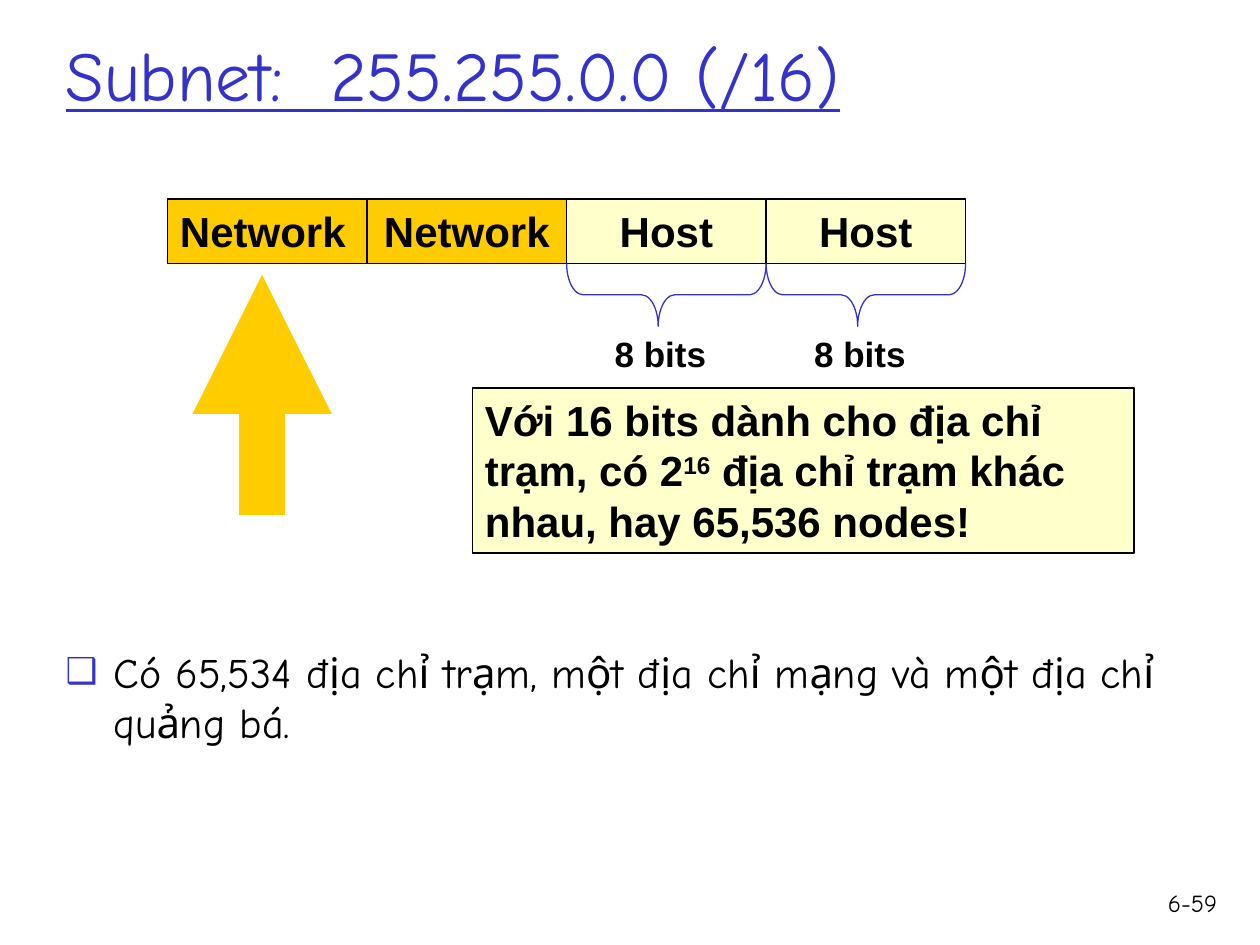
import pptx
import pptx.util
import pptx.dml.color
import pptx.enum.shapes
import pptx.enum.text
import pptx.oxml

Inches = pptx.util.Inches
Color = pptx.dml.color.RGBColor
Shape = pptx.enum.shapes.MSO_SHAPE
Align = pptx.enum.text.PP_ALIGN
Anchor = pptx.enum.text.MSO_ANCHOR

BLACK = Color(0x00, 0x00, 0x00)
BLUE = Color(0x33, 0x33, 0xCC)
GOLD = Color(0xFF, 0xCC, 0x00)
CREAM = Color(0xFF, 0xFF, 0xCC)
NAMESPACE = 'xmlns:a="http://schemas.openxmlformats.org/drawingml/2006/main"'

LABEL = {"name": "Arial", "size": pptx.util.Pt(24), "bold": True}
BITS = {**LABEL, "size": pptx.util.Pt(20)}
TITLE = {"name": "Comic Neue", "size": pptx.util.Pt(40), "underline": True}
BODY = {"name": "Comic Neue", "size": pptx.util.Pt(24)}
NUMBER = {**BODY, "size": pptx.util.Pt(14)}


def write(shape, texts, formats, align=Align.LEFT, anchor=Anchor.TOP, color=BLACK):
    frame = shape.text_frame
    frame.word_wrap = True
    frame.auto_size = pptx.enum.text.MSO_AUTO_SIZE.NONE
    frame.vertical_anchor = anchor
    para = frame.paragraphs[0]
    para.alignment = align
    para.space_before = pptx.util.Pt(0)
    for text in texts:
        span = para.add_run()
        span.text = text
        for name, value in formats.items():
            setattr(span.font, name, value)
        span.font.color.rgb = color
    return para


def add_outlined(kind, left, top, width, height, line, fill=None):
    shape = slide.shapes.add_shape(
        kind, Inches(left), Inches(top), Inches(width), Inches(height))
    shape.shadow.inherit = False
    if fill is None:
        shape.fill.background()
    else:
        shape.fill.solid()
        shape.fill.fore_color.rgb = fill
    shape.line.color.rgb = line
    shape.line.width = pptx.util.Pt(0.75)
    return shape


deck = pptx.Presentation()
deck.slide_width = Inches(10)
deck.slide_height = Inches(7.5)
slide = deck.slides.add_slide(deck.slide_layouts[1])

title, body = slide.placeholders
for holder, (left, top, width, height) in (
    (title, (0.42, 0.25, 8.17, 0.67)),
    (body, (0.42, 5.08, 9.25, 2.42)),
):
    holder.left, holder.top = Inches(left), Inches(top)
    holder.width, holder.height = Inches(width), Inches(height)

write(title, ["Subnet:  255.255.0.0 (/16)"], TITLE, anchor=Anchor.MIDDLE, color=BLUE)

bullet = write(
    body, ["Có 65,534 địa chỉ trạm, một địa chỉ mạng và một địa chỉ quảng bá."], BODY)
properties = bullet._p.get_or_add_pPr()
properties.set("marL", str(Inches(0.38)))
properties.set("indent", str(-Inches(0.38)))
for element in (
    f'<a:buClr {NAMESPACE}><a:srgbClr val="{BLUE}"/></a:buClr>',
    f'<a:buSzPct {NAMESPACE} val="85000"/>',
    f'<a:buChar {NAMESPACE} char="❑"/>',
):
    properties.append(pptx.oxml.parse_xml(element))

number = slide.shapes.add_textbox(Inches(9.08), Inches(7), Inches(0.68), Inches(0.5))
write(number, ["6-59"], NUMBER, Align.RIGHT)

octet_left, octet_top, octet_width, octet_height = 1.33, 1.58, 1.58333, 0.51
brace_depth = 0.5
for index, (text, fill, align) in enumerate((
    ("Network", GOLD, Align.LEFT),
    ("Network", GOLD, Align.CENTER),
    ("Host", CREAM, Align.CENTER),
    ("Host", CREAM, Align.CENTER),
)):
    left = octet_left + index * octet_width
    octet = add_outlined(
        Shape.RECTANGLE, left, octet_top, octet_width, octet_height, BLACK, fill)
    write(octet, [text], LABEL, align)
    if text == "Host":
        center = left + octet_width / 2
        brace_middle = octet_top + octet_height + brace_depth / 2
        brace = add_outlined(
            Shape.RIGHT_BRACE, center - brace_depth / 2, brace_middle - octet_width / 2,
            brace_depth, octet_width, BLUE)
        brace.rotation = 90
        brace.adjustments[0] = 0.264
        brace.adjustments[1] = 0.541
        bits = slide.shapes.add_textbox(
            Inches(left + 0.08), Inches(2.59), Inches(1.33), Inches(0.43))
        write(bits, ["8 bits"], BITS, Align.CENTER)

arrow = slide.shapes.add_connector(
    pptx.enum.shapes.MSO_CONNECTOR.STRAIGHT,
    Inches(2.08), Inches(4.09), Inches(2.08), Inches(2.18))
arrow.line.color.rgb = GOLD
arrow.line.width = pptx.util.Pt(26.5)
arrow.line._get_or_add_ln().append(
    pptx.oxml.parse_xml(f'<a:tailEnd {NAMESPACE} type="triangle"/>'))
arrow._element.spPr.append(pptx.oxml.parse_xml(f"<a:effectLst {NAMESPACE}/>"))

note = add_outlined(Shape.RECTANGLE, 3.75, 3.08, 5.25, 1.31, BLACK, CREAM)
note_para = write(
    note,
    ["Với 16 bits dành cho địa chỉ trạm, có 2", "16",
     " địa chỉ trạm khác nhau, hay 65,536 nodes!"],
    LABEL)
note_para.runs[1]._r.get_or_add_rPr().set("baseline", "30000")

deck.save("out.pptx")
